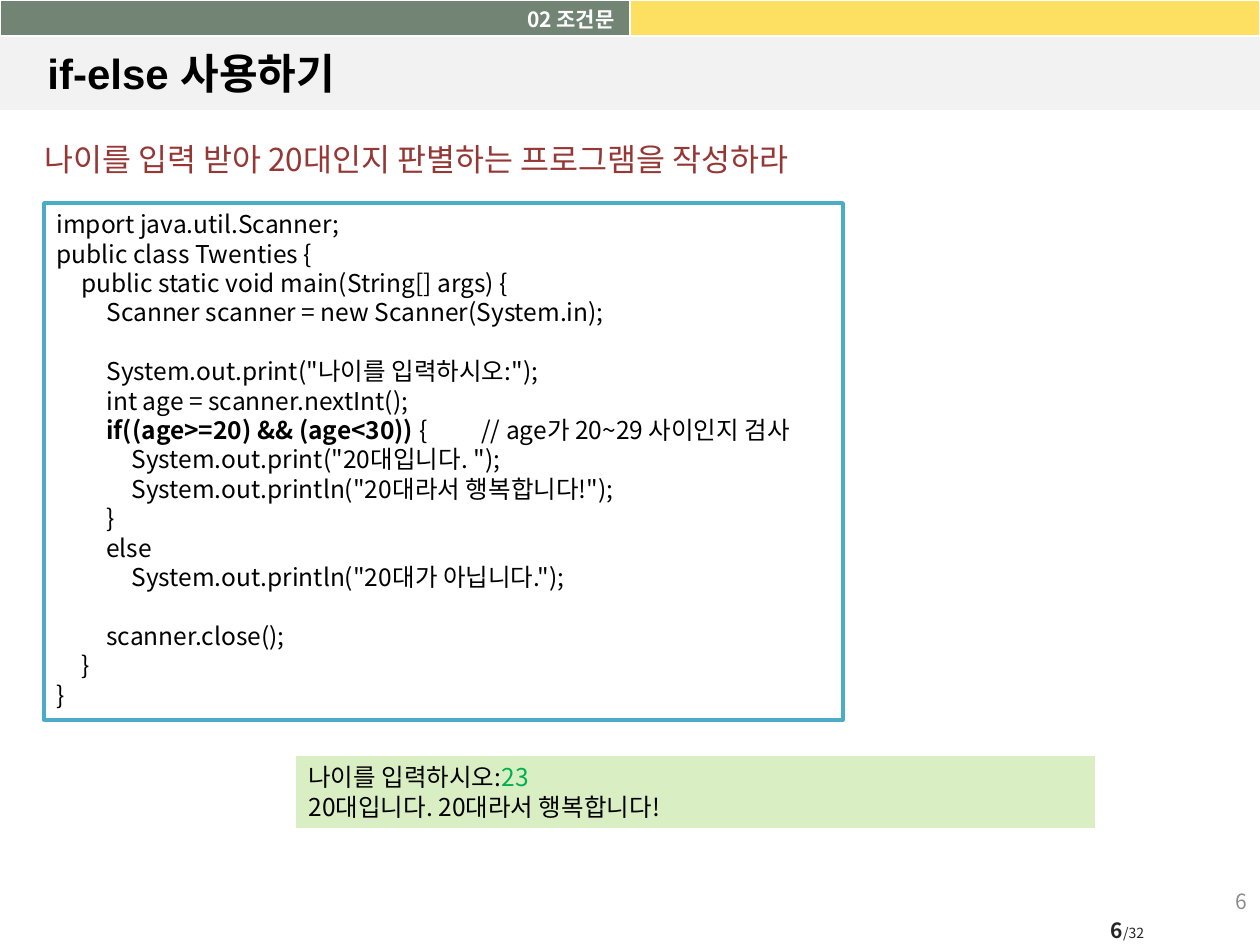
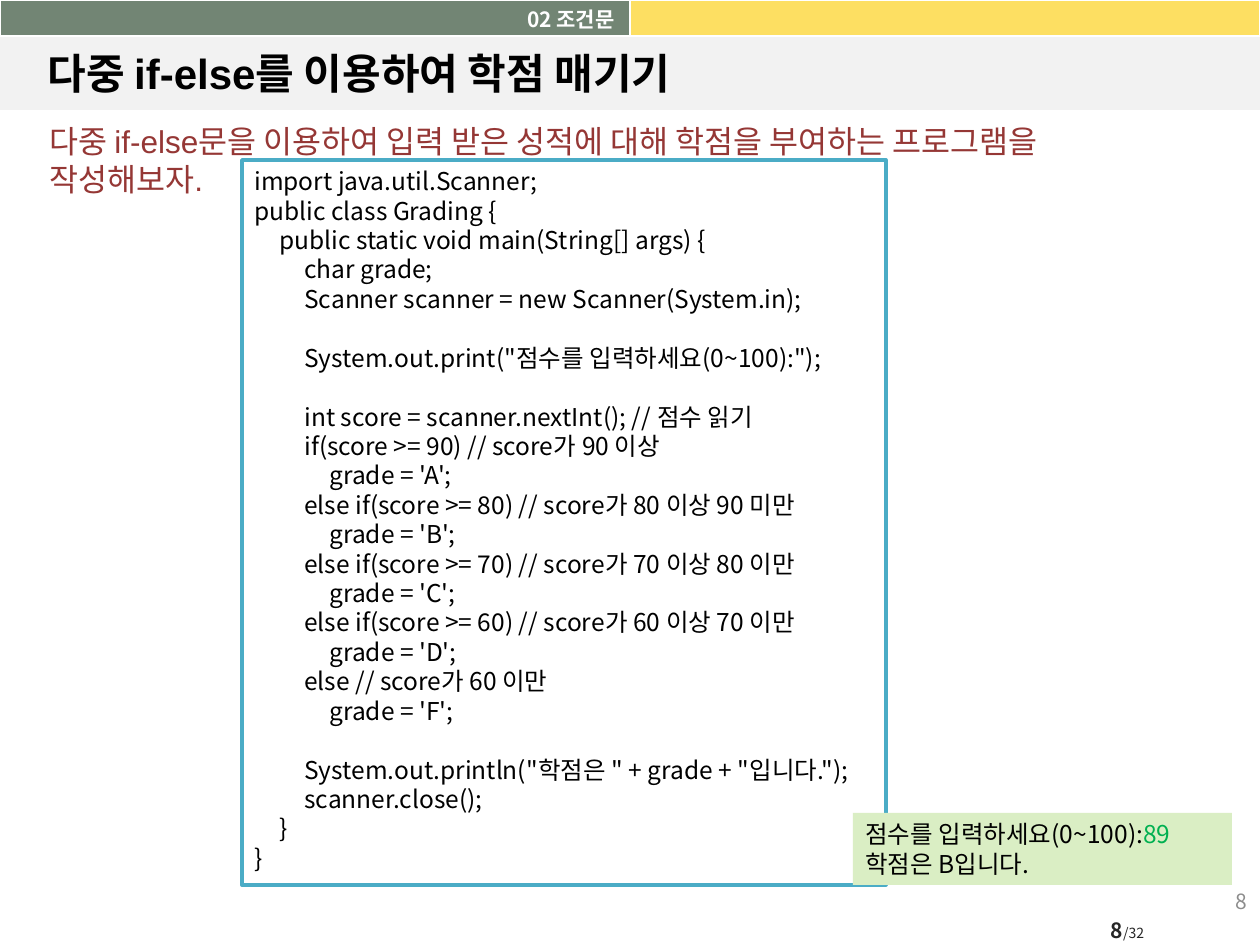
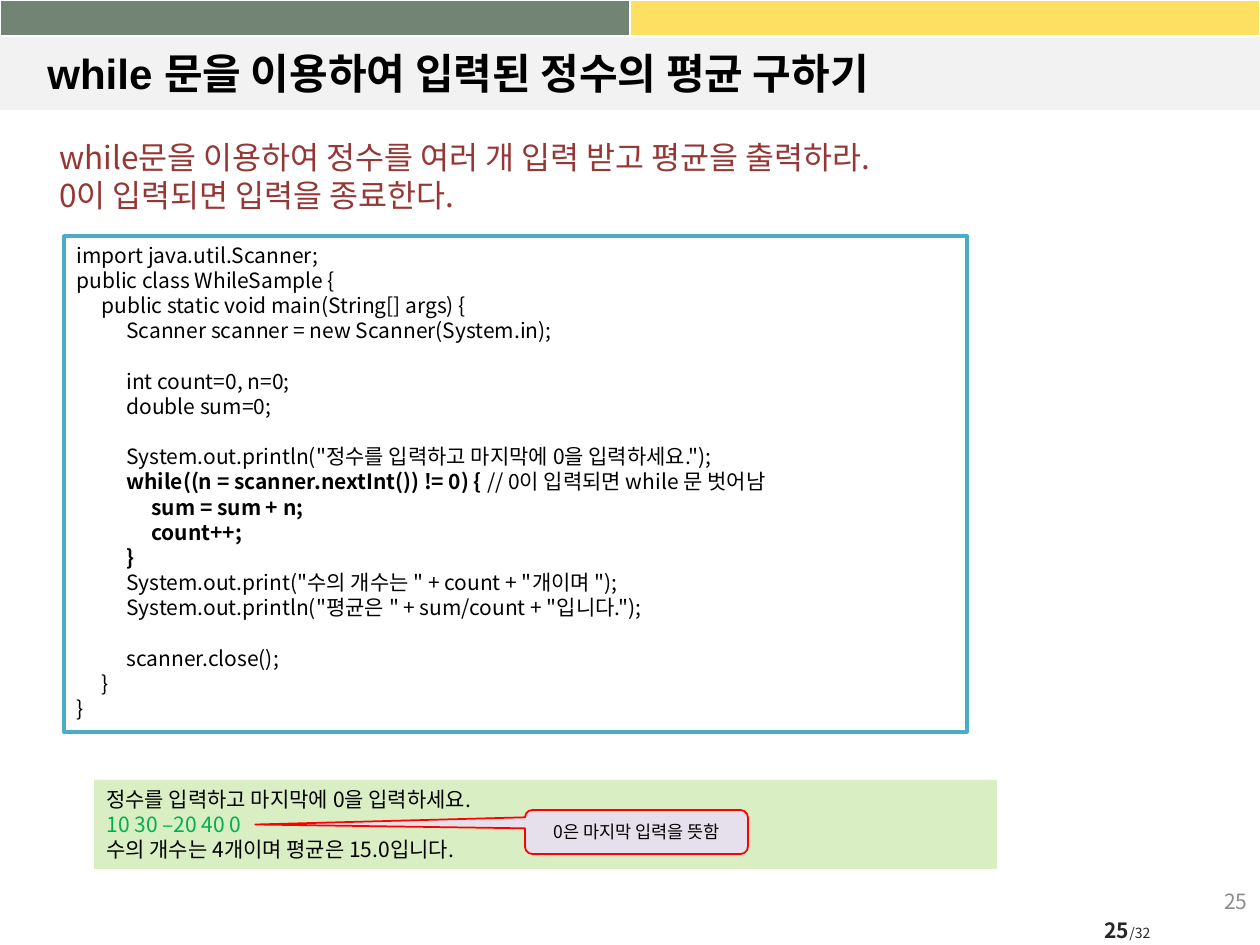
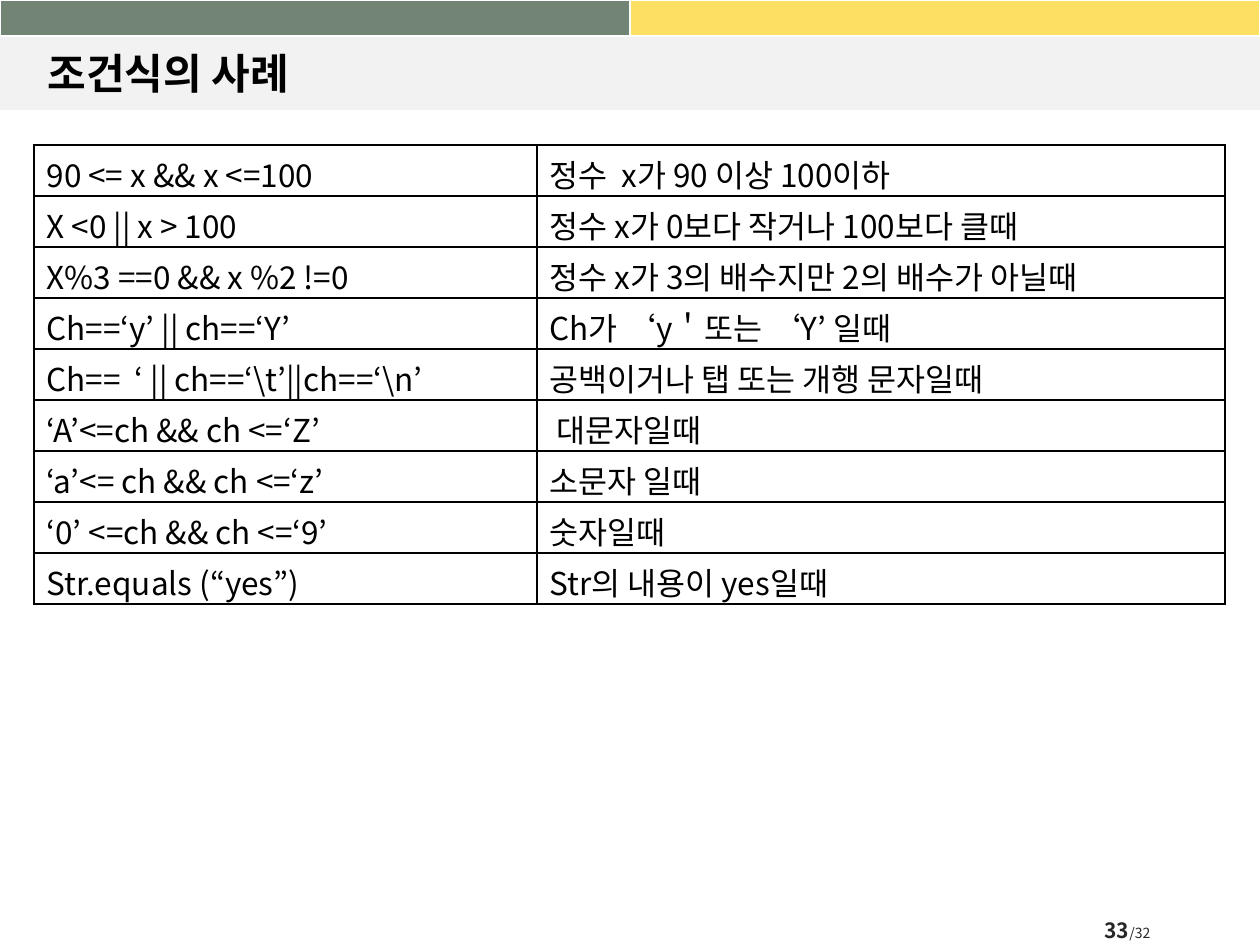
from lxml.etree import SubElement
from pptx import Presentation
from pptx.dml.color import RGBColor
from pptx.enum.shapes import MSO_SHAPE as SHAPE
from pptx.enum.text import MSO_ANCHOR as ANCHOR, PP_ALIGN as ALIGN
from pptx.oxml.ns import qn
from pptx.util import Emu, Pt

BLACK = RGBColor(0x00, 0x00, 0x00)
WHITE = RGBColor(0xFF, 0xFF, 0xFF)
DARK = RGBColor(0x26, 0x26, 0x26)
GRAY = RGBColor(0x8C, 0x8C, 0x8C)
LIGHT = RGBColor(0xF2, 0xF2, 0xF2)
SAGE = RGBColor(0x72, 0x85, 0x74)
YELLOW = RGBColor(0xFD, 0xDF, 0x62)
MAROON = RGBColor(0x95, 0x37, 0x35)
TEAL = RGBColor(0x4B, 0xAC, 0xC6)
MINT = RGBColor(0xDA, 0xEE, 0xC4)
GREEN = RGBColor(0x00, 0xB0, 0x50)
LILAC = RGBColor(0xE6, 0xE0, 0xEC)
RED = RGBColor(0xFF, 0x00, 0x00)

FONT, TITLE_FONT = "Noto Sans CJK KR", "Arial"
PX_PER_INCH = 126
WIDTH, HEIGHT = 1260, 945
TAB, TAB_COUNT = 25, 17
LEADING = 1.2
PAGE_TOTAL = 32
MARK = "**"  # surrounds the stressed part of a line

TWENTIES = """\
import java.util.Scanner;
public class Twenties {
    public static void main(String[] args) {
        Scanner scanner = new Scanner(System.in);

        System.out.print("나이를 입력하시오:");
        int age = scanner.nextInt();
        **if((age>=20) && (age<30))** { \t\t// age가 20~29 사이인지 검사
            System.out.print("20대입니다. ");
            System.out.println("20대라서 행복합니다!");
        }
        else
            System.out.println("20대가 아닙니다.");

        scanner.close();
    }
}"""

GRADING = """\
import java.util.Scanner;
public class Grading {
    public static void main(String[] args) {
        char grade;
        Scanner scanner = new Scanner(System.in);

        System.out.print("점수를 입력하세요(0~100):");

        int score = scanner.nextInt(); // 점수 읽기
        if(score >= 90) // score가 90 이상
            grade = 'A';
        else if(score >= 80) // score가 80 이상 90 미만
            grade = 'B';
        else if(score >= 70) // score가 70 이상 80 이만
            grade = 'C';
        else if(score >= 60) // score가 60 이상 70 이만
            grade = 'D';
        else // score가 60 이만
            grade = 'F';

        System.out.println("학점은 " + grade + "입니다.");
        scanner.close();
    }
}"""

WHILE_SAMPLE = """\
import java.util.Scanner;
public class WhileSample {
    public static void main(String[] args) {
        Scanner scanner = new Scanner(System.in);

        int count=0, n=0;
        double sum=0;

        System.out.println("정수를 입력하고 마지막에 0을 입력하세요.");
        **while((n = scanner.nextInt()) != 0) { **// 0이 입력되면 while 문 벗어남
            **sum = sum + n;**
            **count++;**
        **}**
        System.out.print("수의 개수는 " + count + "개이며 ");
        System.out.println("평균은 " + sum/count + "입니다.");

        scanner.close();
    }
}"""

CONDITIONS = [
    ("90 <= x && x <=100", "정수  x가 90 이상 100이하"),
    ("X <0 || x > 100", "정수 x가 0보다 작거나 100보다 클때"),
    ("X%3 ==0 && x %2 !=0", "정수 x가 3의 배수지만 2의 배수가 아닐때"),
    ("Ch==‘y’ || ch==‘Y’", "Ch가 ‘y＇또는 ‘Y’ 일때"),
    (r"Ch==  ‘ || ch==‘\t’||ch==‘\n’", "공백이거나 탭 또는 개행 문자일때"),
    ("‘A’<=ch && ch <=‘Z’", " 대문자일때"),
    ("‘a’<= ch && ch <=‘z’", "소문자 일때"),
    ("‘0’ <=ch && ch <=‘9’", "숫자일때"),
    ("Str.equals (“yes”)", "Str의 내용이 yes일때"),
]


def px(n):
    return Emu(round(n * 914400 / PX_PER_INCH))


def style_run(r, size, color=BLACK, bold=False, font=FONT):
    f = r.font
    f.size, f.bold, f.name = Pt(size), bold, font
    f.color.rgb = color
    SubElement(r._r.get_or_add_rPr(), qn("a:ea"), typeface=FONT)


def write_lines(tf, lines, size, color=BLACK, bold=False, font=FONT,
                align=ALIGN.LEFT, stress=None):
    """Write one paragraph a line; stress overrides the style between marks."""
    base = dict(color=color, bold=bold, font=font)
    tf.word_wrap = True
    for i, line in enumerate(lines):
        p = tf.paragraphs[0] if i == 0 else tf.add_paragraph()
        p.alignment, p.line_spacing = align, Pt(size * LEADING)
        for j, part in enumerate(line.split(MARK)):
            if part:
                r = p.add_run()
                r.text = part
                style_run(r, size, **(base | (stress or {}) if j % 2 else base))


def add_text(slide, box, lines, size, anchor=ANCHOR.TOP, **style):
    tf = slide.shapes.add_textbox(*map(px, box)).text_frame
    tf.vertical_anchor = anchor
    write_lines(tf, lines, size, **style)
    return tf


def add_box(slide, box, fill, line=None, weight=1, kind=SHAPE.RECTANGLE):
    sp = slide.shapes.add_shape(kind, *map(px, box))
    sp.shadow.inherit = False
    sp.fill.solid()
    sp.fill.fore_color.rgb = fill
    if line is None:
        sp.line.fill.background()
    else:
        sp.line.color.rgb, sp.line.width = line, Pt(weight)
    sp.text_frame.vertical_anchor = ANCHOR.TOP
    return sp


def add_grid(slide, left, top, widths, row_height, rows):
    """Add a table without the banded style."""
    frame = slide.shapes.add_table(rows, len(widths), px(left), px(top),
                                   px(sum(widths)), px(row_height * rows))
    table = frame.table
    table.first_row = table.horz_banding = False
    for col, width in zip(table.columns, widths):
        col.width = px(width)
    for row in table.rows:
        row.height = px(row_height)
    return table


def add_top_band(slide):
    band = add_grid(slide, 0, 0, [WIDTH // 2] * 2, 36, 1)
    for cell, color in zip(band.rows[0].cells, (SAGE, YELLOW)):
        cell.fill.solid()
        cell.fill.fore_color.rgb = color
        cell.margin_top = cell.margin_bottom = 0
        p = cell.text_frame.paragraphs[0]
        p.line_spacing = Pt(10)
        SubElement(p._p, qn("a:endParaRPr"), sz="800")


def add_page_number(slide, number):
    tf = add_text(slide, (1067, 914, 121, 33), [str(number)], 12,
                  anchor=ANCHOR.MIDDLE, color=DARK, bold=True, align=ALIGN.CENTER)
    tf.margin_left = tf.margin_right = 0
    r = tf.paragraphs[0].add_run()
    r.text = f"/{PAGE_TOTAL}"
    style_run(r, 8, DARK)


def add_base(prs, title, number, section=None, corner_number=True):
    slide = prs.slides.add_slide(prs.slide_layouts[6])
    add_box(slide, (0, 36, WIDTH, 74), LIGHT)
    add_page_number(slide, number)
    add_top_band(slide)
    add_text(slide, (35, 37, 1191, 71), [title], 24, anchor=ANCHOR.MIDDLE,
             bold=True, font=TITLE_FONT)
    if section:
        add_text(slide, (0, 0, 627, 36), [section], 12, color=WHITE, bold=True,
                 align=ALIGN.RIGHT)
    if corner_number:
        add_text(slide, (966, 876, 294, 50), [str(number)], 12,
                 anchor=ANCHOR.MIDDLE, color=GRAY, align=ALIGN.RIGHT)
    return slide


def indent_with_tabs(line):
    body = line.lstrip(" ")
    return "\t" * ((len(line) - len(body)) // 4) + body


def set_tab_stops(p):
    tabs = SubElement(p._p.get_or_add_pPr(), qn("a:tabLst"))
    for i in range(1, TAB_COUNT + 1):
        SubElement(tabs, qn("a:tab"), pos=str(px(TAB * i)), algn="l")


def add_code(slide, box, code, size):
    tf = add_box(slide, box, WHITE, TEAL, 2).text_frame
    tf.margin_right = 0
    lines = [indent_with_tabs(line) for line in code.split("\n")]
    write_lines(tf, lines, size, stress={"bold": True})
    for p in tf.paragraphs:
        set_tab_stops(p)


def add_task(slide, box, lines, font=FONT):
    add_text(slide, box, lines, 18, color=MAROON, font=font)


def add_console(slide, box, lines, size):
    """Show a program run, with the user's input in green."""
    tf = add_box(slide, box, MINT).text_frame
    write_lines(tf, lines, size, stress={"color": GREEN})


def add_callout(slide, box, text, adjustments):
    sp = add_box(slide, box, LILAC, RED, kind=SHAPE.ROUNDED_RECTANGULAR_CALLOUT)
    for i, value in enumerate(adjustments):
        sp.adjustments[i] = value
    sp.text_frame.vertical_anchor = ANCHOR.MIDDLE
    write_lines(sp.text_frame, [text], 10, align=ALIGN.CENTER)


def set_borders(cell, color, weight):
    tcPr = cell._tc.get_or_add_tcPr()
    for i, side in enumerate(("lnL", "lnR", "lnT", "lnB")):
        ln = tcPr.makeelement(qn(f"a:{side}"), {"w": str(Pt(weight))})
        fill = SubElement(ln, qn("a:solidFill"))
        SubElement(fill, qn("a:srgbClr"), val=str(color))
        tcPr.insert(i, ln)


def add_condition_table(slide, left, top):
    table = add_grid(slide, left, top, [503, 688], 51, len(CONDITIONS))
    for row, texts in zip(table.rows, CONDITIONS):
        for cell, text in zip(row.cells, texts):
            cell.fill.background()
            cell.margin_bottom = 0
            set_borders(cell, BLACK, 1)
            cell.text_frame.text = text
            style_run(cell.text_frame.paragraphs[0].runs[0], 18)


def build_twenties(prs):
    slide = add_base(prs, "if-else 사용하기", 6, "02 조건문")
    add_code(slide, (44, 203, 799, 517), TWENTIES, 14)
    add_task(slide, (32, 134, 848, 50),
             ["나이를 입력 받아 20대인지 판별하는 프로그램을 작성하라"])
    add_console(slide, (296, 756, 799, 72),
                ["나이를 입력하시오:**23**", "20대입니다. 20대라서 행복합니다!"], 14)


def build_grading(prs):
    slide = add_base(prs, "다중 if-else를 이용하여 학점 매기기", 8, "02 조건문")
    add_code(slide, (242, 160, 644, 725), GRADING, 14)
    add_task(slide, (37, 116, 1215, 89),
             ["다중 if-else문을 이용하여 입력 받은 성적에 대해 학점을 부여하는 프로그램을",
              "작성해보자."], TITLE_FONT)
    add_console(slide, (853, 813, 379, 72),
                ["점수를 입력하세요(0~100):**89**", "학점은 B입니다."], 14)


def build_average(prs):
    slide = add_base(prs, "while 문을 이용하여 입력된 정수의 평균 구하기", 25)
    add_code(slide, (64, 236, 903, 496), WHILE_SAMPLE, 12)
    add_task(slide, (47, 132, 1077, 89),
             ["while문을 이용하여 정수를 여러 개 입력 받고 평균을 출력하라.",
              "0이 입력되면 입력을 종료한다."])
    add_console(slide, (94, 780, 903, 89),
                ["정수를 입력하고 마지막에 0을 입력하세요.", "**10 30 –20 40 0**",
                 "수의 개수는 4개이며 평균은 15.0입니다."], 12)
    add_callout(slide, (525, 810, 223, 44), "0은 마지막 입력을 뜻함",
                (-1.71, -0.17, 0.17))


def build_conditions(prs):
    slide = add_base(prs, "조건식의 사례", 33, corner_number=False)
    add_condition_table(slide, 34, 145)


def main():
    prs = Presentation()
    prs.slide_width, prs.slide_height = px(WIDTH), px(HEIGHT)
    for build in (build_twenties, build_grading, build_average, build_conditions):
        build(prs)
    prs.save("out.pptx")


if __name__ == "__main__":
    main()
